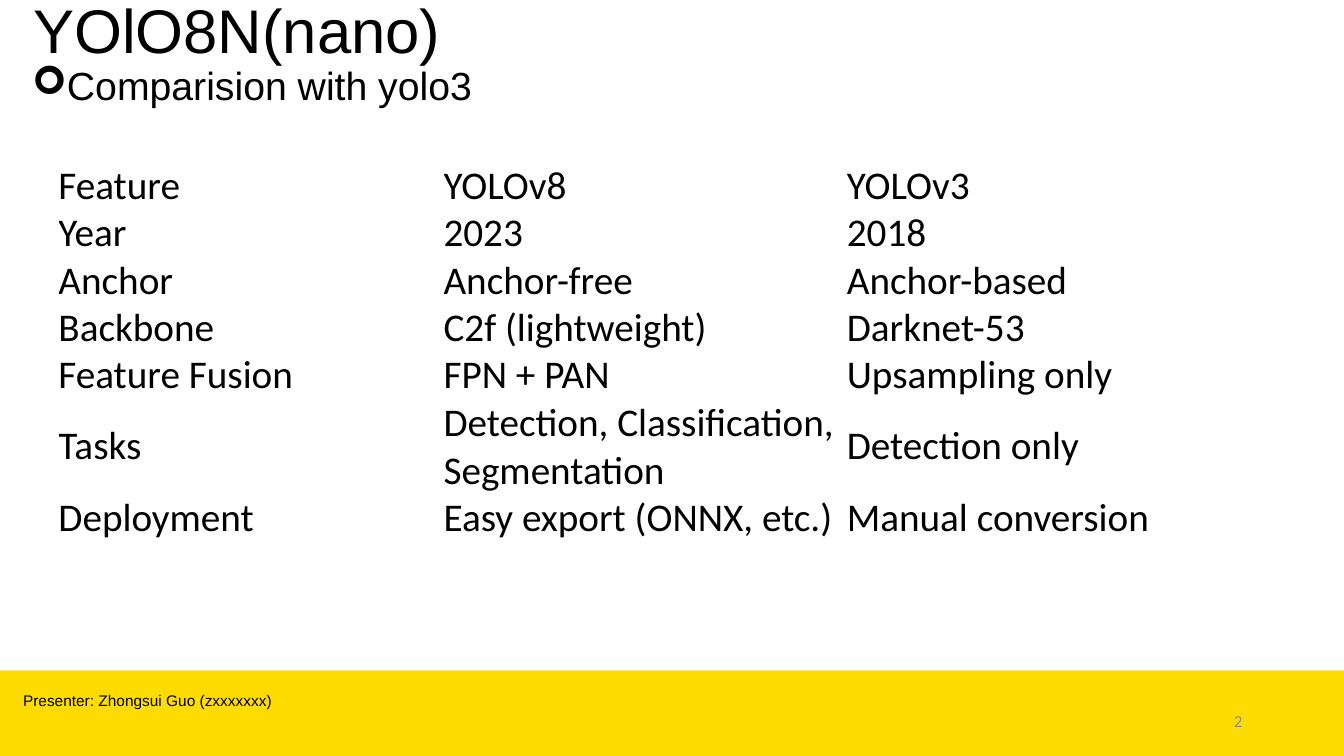
import pptx
import pptx.dml.color
import pptx.enum.shapes
import pptx.enum.text
import pptx.oxml.ns
import pptx.util
from lxml import etree
from pptx.dml.color import RGBColor
from pptx.util import Inches

BLACK = RGBColor(0x00, 0x00, 0x00)
GRAY = RGBColor(0x8C, 0x8C, 0x8C)
YELLOW = RGBColor(0xFF, 0xDC, 0x00)

ANCHOR = pptx.enum.text.MSO_ANCHOR
ALIGN = pptx.enum.text.PP_ALIGN

COLUMN_WIDTHS = (3.82, 4, 3.64)
LINE_HEIGHT = 0.47
COMPARISON = (
    ("Feature", "YOLOv8", "YOLOv3"),
    ("Year", "2023", "2018"),
    ("Anchor", "Anchor-free", "Anchor-based"),
    ("Backbone", "C2f (lightweight)", "Darknet-53"),
    ("Feature Fusion", "FPN + PAN", "Upsampling only"),
    ("Tasks", "Detection, Classification, Segmentation", "Detection only"),
    ("Deployment", "Easy export (ONNX, etc.)", "Manual conversion"),
)


def style_font(paragraph, size, name, color=BLACK):
    paragraph.font.size = pptx.util.Pt(size)
    paragraph.font.name = name
    paragraph.font.color.rgb = color


def add_text(slide, box, text, size, name="Arial", color=BLACK,
             anchor=ANCHOR.TOP, align=ALIGN.LEFT):
    frame = slide.shapes.add_textbox(*map(Inches, box)).text_frame
    frame.word_wrap = True
    frame.vertical_anchor = anchor
    paragraph = frame.paragraphs[0]
    paragraph.text = text
    paragraph.alignment = align
    style_font(paragraph, size, name, color)
    return paragraph


def add_arrow_bullet(paragraph, indent):
    properties = paragraph._p.get_or_add_pPr()
    properties.set("marL", str(Inches(indent)))
    properties.set("indent", str(-Inches(indent)))
    for tag, attribute, value in (("a:buFont", "typeface", "Wingdings"),
                                  ("a:buChar", "char", "➢")):
        bullet = etree.SubElement(properties, pptx.oxml.ns.qn(tag))
        bullet.set(attribute, value)


def add_footer_band(slide):
    band = slide.shapes.add_shape(
        pptx.enum.shapes.MSO_SHAPE.RECTANGLE,
        0, Inches(6.65), Inches(13.33), Inches(0.85))
    band.shadow.inherit = False
    band.fill.solid()
    band.fill.fore_color.rgb = YELLOW
    band.line.fill.background()


def fill_cell(cell, text):
    cell.fill.background()
    cell.vertical_anchor = ANCHOR.MIDDLE
    cell.margin_left = cell.margin_right = 0
    cell.margin_top = cell.margin_bottom = 0
    paragraph = cell.text_frame.paragraphs[0]
    paragraph.text = text
    style_font(paragraph, 28, "Calibri")


def add_comparison_table(slide):
    line_counts = [2 if row[0] == "Tasks" else 1 for row in COMPARISON]
    table = slide.shapes.add_table(
        len(COMPARISON), len(COLUMN_WIDTHS), Inches(0.58), Inches(1.61),
        Inches(sum(COLUMN_WIDTHS)),
        Inches(LINE_HEIGHT * sum(line_counts))).table
    table.first_row = False
    table.horz_banding = False
    for column, width in zip(table.columns, COLUMN_WIDTHS):
        column.width = Inches(width)
    for row, lines, texts in zip(table.rows, line_counts, COMPARISON):
        row.height = Inches(LINE_HEIGHT * lines)
        for cell, text in zip(row.cells, texts):
            fill_cell(cell, text)


def main():
    presentation = pptx.Presentation()
    presentation.slide_width = Inches(13.33)
    presentation.slide_height = Inches(7.5)
    slide = presentation.slides.add_slide(presentation.slide_layouts[6])

    add_footer_band(slide)
    title = add_text(slide, (0.23, -0.13, 12.72, 0.92), "YOlO8N(nano)", 44,
                     anchor=ANCHOR.MIDDLE)
    title.line_spacing = 0.9
    subtitle = add_text(slide, (0.22, 0.61, 12.72, 5.94),
                        "Comparision with yolo3", 28)
    subtitle.line_spacing = 0.9
    subtitle.space_before = pptx.util.Pt(10)
    add_arrow_bullet(subtitle, 0.25)
    add_text(slide, (9.42, 6.95, 3, 0.4), "2", 12, "Calibri", GRAY,
             ANCHOR.MIDDLE, ALIGN.RIGHT)
    add_text(slide, (0.13, 6.81, 8.01, 0.29),
             "Presenter: Zhongsui Guo (zxxxxxxx)", 11)
    add_comparison_table(slide)

    presentation.save("out.pptx")


if __name__ == "__main__":
    main()
